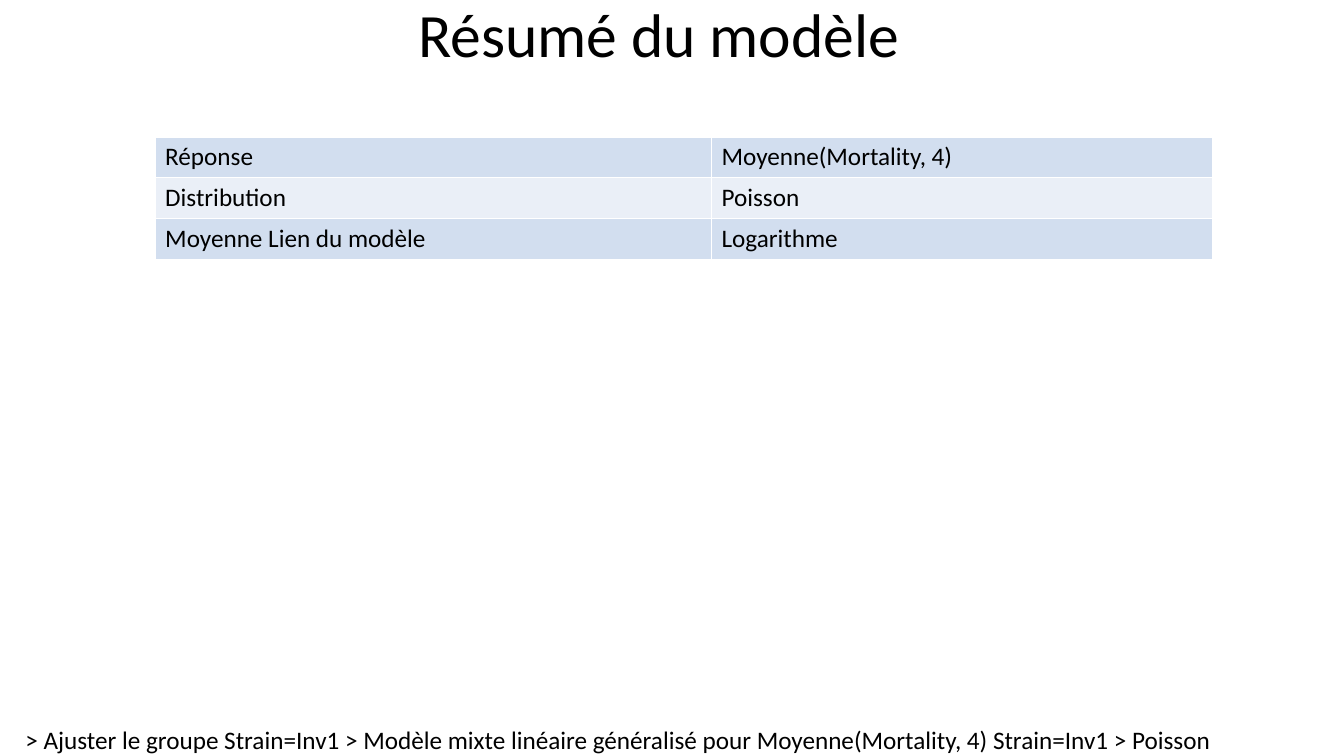
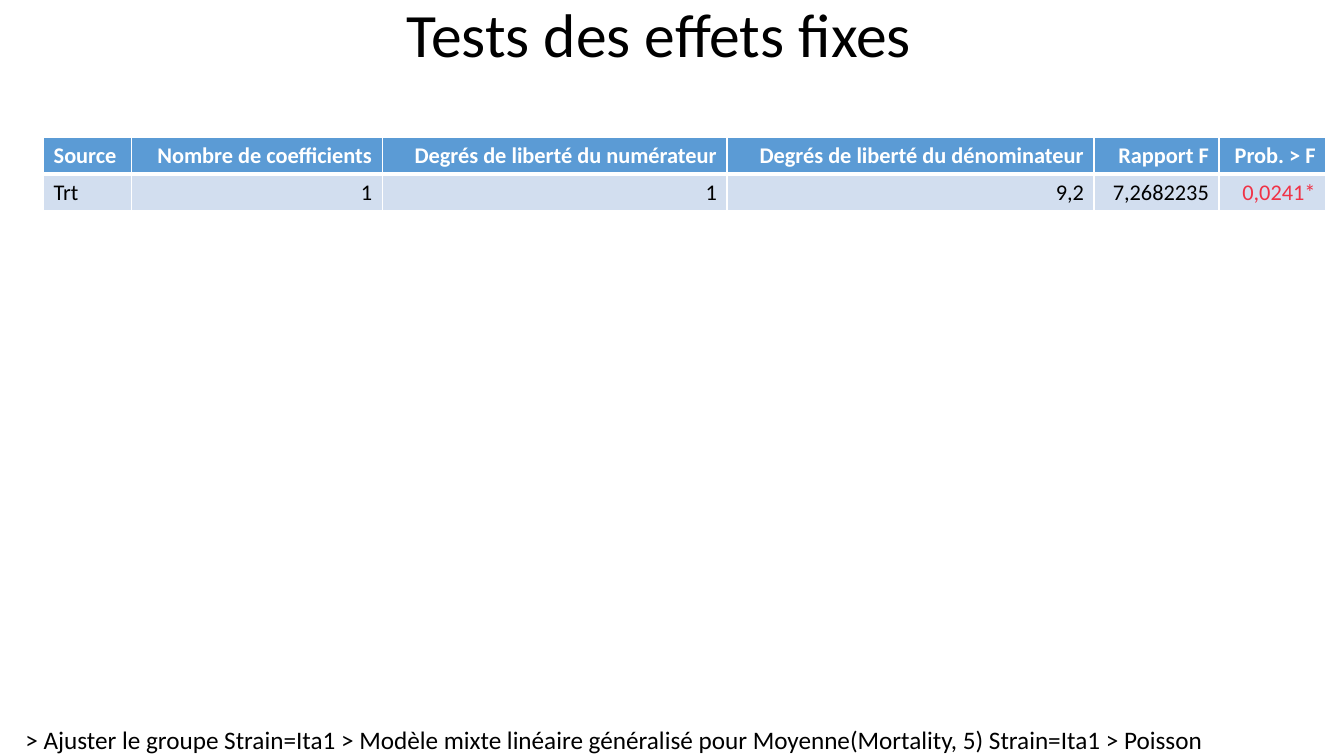
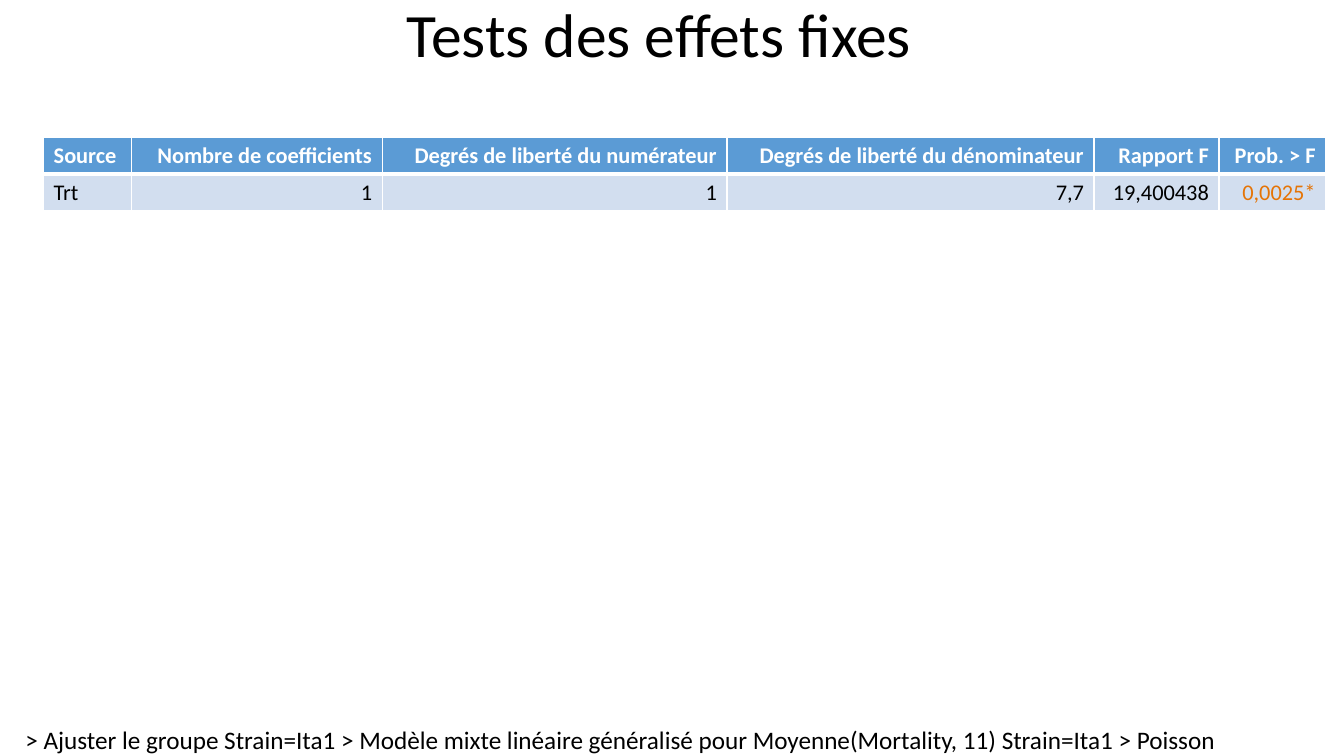
from lxml import etree
from pptx import Presentation
from pptx.dml.color import RGBColor
from pptx.enum.text import MSO_ANCHOR, MSO_AUTO_SIZE, PP_ALIGN
from pptx.oxml.ns import qn
from pptx.util import Cm, Pt

LEFT, MID, RIGHT = PP_ALIGN.LEFT, PP_ALIGN.CENTER, PP_ALIGN.RIGHT
CENTER = MSO_ANCHOR.MIDDLE
GROW = MSO_AUTO_SIZE.SHAPE_TO_FIT_TEXT
HUES = {"ink": "000000", "white": "FFFFFF", "head": "5B9BD5", "band": "D2DEEF",
        "pale": "EAEFF7", "red": "F03246", "amber": "E57406"}
NOTE = {"word_wrap": False, "auto_size": GROW, "margin_left": 0,
        "margin_right": 0, "margin_top": 0, "margin_bottom": 0}
TITLE = {"word_wrap": True, "vertical_anchor": CENTER}
TOP = Cm(3.45)
PAIR = {"left": 3.91, "cols": [14.02, 12.62], "high": 1.03, "size": 18, "head": False}
TEST = {"left": 1.1, "cols": [2.21, 6.32, 8.69, 9.25, 3.15, 2.69],
        "high": 0.93, "size": 16, "head": True}
HEADS = ["Source", "Nombre de coefficients", "Degrés de liberté du numérateur",
         "Degrés de liberté du dénominateur", "Rapport F", "Prob. > F"]
PAGES = [
    {"title": "Résumé du modèle", "form": PAIR, "mark": "ink",
     "group": "Inv1", "day": 4, "wide": 30.07,
     "rows": [["Réponse", "Moyenne(Mortality, 4)"], ["Distribution", "Poisson"],
              ["Moyenne Lien du modèle", "Logarithme"]]},
    {"title": "Tests des effets fixes", "form": TEST, "mark": "red",
     "group": "Ita1", "day": 5, "wide": 29.85,
     "rows": [HEADS, ["Trt", "1", "1", "9,2", "7,2682235", "0,0241*"]]},
    {"title": "Tests des effets fixes", "form": TEST, "mark": "amber",
     "group": "Ita1", "day": 11, "wide": 30.18,
     "rows": [HEADS, ["Trt", "1", "1", "7,7", "19,400438", "0,0025*"]]},
]


def write(frame, text, size, hue="ink", align=LEFT, bold=False):
    para = frame.paragraphs[0]
    para.alignment = align
    run = para.add_run()
    run.text = text
    for key, val in {"name": "Calibri", "size": Pt(size), "bold": bold}.items():
        setattr(run.font, key, val)
    run.font.color.rgb = RGBColor.from_string(HUES[hue])
    return para


def paint(cell, hue, edges):
    props = cell._tc.get_or_add_tcPr()
    for side, width in edges.items():
        line = etree.SubElement(props, qn("a:ln" + side), w=str(Pt(width)))
        fill = etree.SubElement(line, qn("a:solidFill"))
        etree.SubElement(fill, qn("a:srgbClr"), val=HUES["white"])
    cell.fill.solid()
    cell.fill.fore_color.rgb = RGBColor.from_string(HUES[hue])


deck = Presentation()
deck.slide_width, deck.slide_height = Cm(33.87), Cm(19.05)

for page in PAGES:
    slide = deck.slides.add_slide(deck.slide_layouts[6])
    form, rows = page["form"], page["rows"]
    note = (f"> Ajuster le groupe Strain={page['group']} > Modèle mixte linéaire généralisé "
            f"pour Moyenne(Mortality, {page['day']}) Strain={page['group']} > Poisson")
    foot = slide.shapes.add_textbox(Cm(0.64), Cm(18.26), Cm(page["wide"]), Cm(0.79))
    head = slide.shapes.add_textbox(0, 0, Cm(33.22), Cm(1.9))
    for box, look in ((foot, NOTE), (head, TITLE)):
        for key, val in look.items():
            setattr(box.text_frame, key, val)
    write(foot.text_frame, note, 18)
    write(head.text_frame, page["title"], 44, align=MID).line_spacing = 0.9

    cols = form["cols"]
    grid = slide.shapes.add_table(len(rows), len(cols), Cm(form["left"]), TOP,
                                  Cm(sum(cols)), Cm(form["high"] * len(rows))).table
    grid.first_row = form["head"]
    for col, wide in zip(grid.columns, cols):
        col.width = Cm(wide)
    for r, row in enumerate(rows):
        grid.rows[r].height = Cm(form["high"])
        top = form["head"] and r == 0
        fill = "head" if top else "pale" if r == 1 and not form["head"] else "band"
        edges = {"L": 1, "R": 1, "T": 3 if form["head"] and r == 1 else 1,
                 "B": 3 if top else 1}
        for c, text in enumerate(row):
            cell = grid.cell(r, c)
            paint(cell, fill, edges)
            hue = "white" if top else page["mark"] if c == len(cols) - 1 else "ink"
            align = RIGHT if form["head"] and c else LEFT
            write(cell.text_frame, text, form["size"], hue, align, top)

deck.save("out.pptx")
